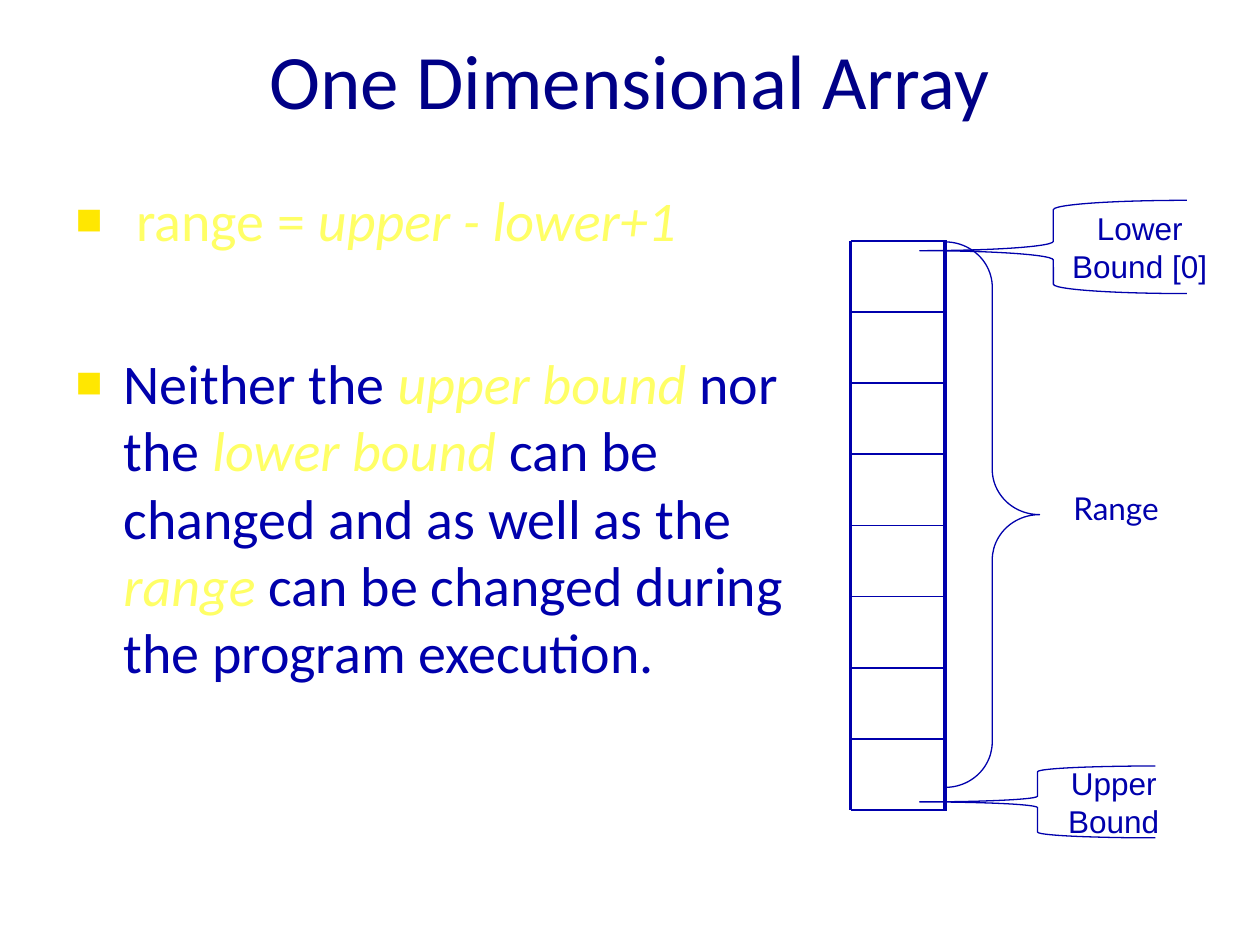
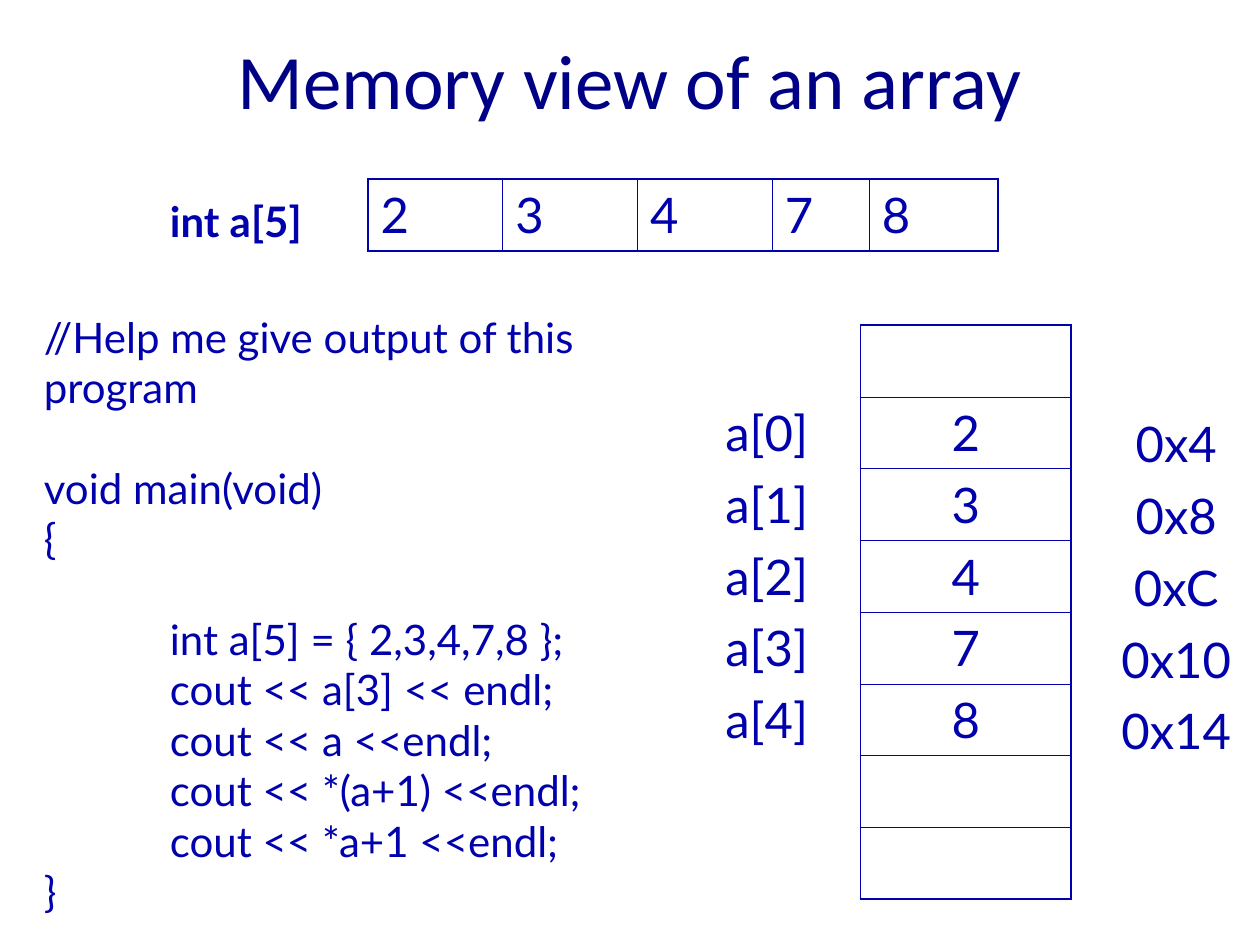
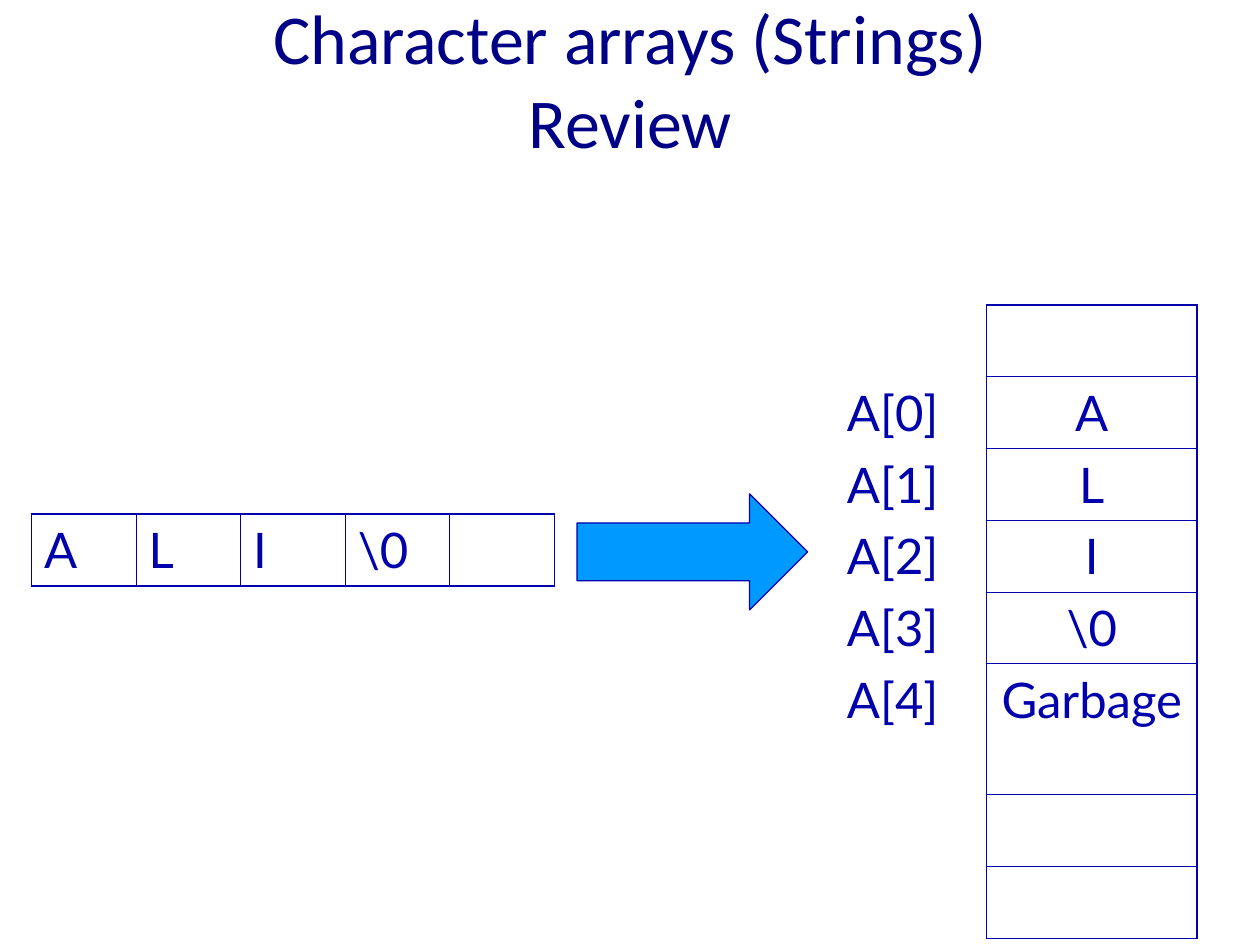
from lxml import etree
from pptx import Presentation
from pptx.dml.color import RGBColor
from pptx.enum.shapes import MSO_CONNECTOR, MSO_SHAPE
from pptx.enum.text import MSO_ANCHOR, MSO_AUTO_SIZE, PP_ALIGN
from pptx.oxml.ns import qn
from pptx.util import Inches, Pt

LEFT, CENTER = PP_ALIGN.LEFT, PP_ALIGN.CENTER
MIDDLE = MSO_ANCHOR.MIDDLE
NO_FIT = MSO_AUTO_SIZE.NONE
STRAIGHT = MSO_CONNECTOR.STRAIGHT
LEFT_BRACE, RIGHT_BRACE = MSO_SHAPE.LEFT_BRACE, MSO_SHAPE.RIGHT_BRACE
RIGHT_ARROW = MSO_SHAPE.RIGHT_ARROW

COLORS = {
    "title": "000086",
    "ink": "0000AC",
    "term": "FFFF66",
    "bullet": "FFE701",
    "arrow": "0099FF",
}
HEAD_FONT, TEXT_FONT, LABEL_FONT = "Calibri", "Lato", "Arial"
TITLE_ONLY, TITLE_AND_BODY = 5, 1
TITLE_BOX = (0, 0, 10, 1.25)
NO_GRID_STYLE = "{2D5ABB26-0587-4C30-8999-92F81FD0307C}"
OUTER, INNER = 1.08, 0.45
CELL_H = 0.57


def rgb(name):
    return RGBColor.from_string(COLORS[name])


def inches(box):
    return [Inches(v) for v in box]


def place(shape, box):
    shape.left, shape.top, shape.width, shape.height = inches(box)


def style_run(r, size, font, color="ink", bold=False, italic=False):
    r.font.size, r.font.name = Pt(size), font
    r.font.bold, r.font.italic = bold, italic
    r.font.color.rgb = rgb(color)


def style_text(tf, size, font, align=LEFT, color="ink", bold=False):
    for p in tf.paragraphs:
        p.alignment = align
        for r in p.runs:
            style_run(r, size, font, color, bold)


def set_indent(p, left, first=0):
    pPr = p._p.get_or_add_pPr()
    pPr.set("marL", str(Inches(left)))
    pPr.set("indent", str(Inches(first)))
    return pPr


def add_square_bullet(p):
    pPr = set_indent(p, 0.38, -0.38)
    color = etree.SubElement(pPr, qn("a:buClr"))
    etree.SubElement(color, qn("a:srgbClr"), val=COLORS["bullet"])
    etree.SubElement(pPr, qn("a:buSzPct"), val="80000")
    etree.SubElement(pPr, qn("a:buFont"), typeface=LABEL_FONT)
    etree.SubElement(pPr, qn("a:buChar"), char="■")


def new_slide(prs, layout, title, size=44):
    s = prs.slides.add_slide(prs.slide_layouts[layout])
    place(s.shapes.title, TITLE_BOX)
    tf = s.shapes.title.text_frame
    tf.text = title
    tf.auto_size, tf.vertical_anchor = NO_FIT, MIDDLE
    style_text(tf, size, HEAD_FONT, CENTER, "title")
    return s


def add_text(s, box, text, size, bold=False):
    tf = s.shapes.add_textbox(*inches(box)).text_frame
    tf.word_wrap = True
    tf.text = text
    style_text(tf, size, TEXT_FONT, bold=bold)
    return tf


def add_line(s, x1, y1, x2, y2, width):
    line = s.shapes.add_connector(STRAIGHT, *inches((x1, y1, x2, y2)))
    line.line.color.rgb, line.line.width = rgb("ink"), Pt(width)
    etree.SubElement(line._element.spPr, qn("a:effectLst"))


def add_outline(s, kind, box, adjustments, fill=None):
    sp = s.shapes.add_shape(kind, *inches(box))
    sp.shadow.inherit = False
    for i, value in enumerate(adjustments):
        sp.adjustments[i] = value
    if fill:
        sp.fill.solid()
        sp.fill.fore_color.rgb = rgb(fill)
    else:
        sp.fill.background()
    sp.line.color.rgb, sp.line.width = rgb("ink"), Pt(0.75)
    return sp


def add_brace_label(s, box, adjustments, text):
    tf = add_outline(s, LEFT_BRACE, box, adjustments).text_frame
    tf.margin_left = tf.margin_right = Inches(0.1)
    tf.word_wrap, tf.vertical_anchor = False, MIDDLE
    tf.text = text
    style_text(tf, 18, LABEL_FONT, CENTER)


def add_borders(cell, outer_sides):
    """Draw all four edges, the ones on the table's outside thicker."""
    tcPr = cell._tc.get_or_add_tcPr()
    for side, is_outer in zip("LRTB", outer_sides):
        width = Pt(OUTER if is_outer else INNER)
        ln = etree.SubElement(tcPr, qn("a:ln" + side), w=str(width))
        fill = etree.SubElement(ln, qn("a:solidFill"))
        etree.SubElement(fill, qn("a:srgbClr"), val=COLORS["ink"])


def add_cells(s, left, top, rows, widths, heights, align, bordered=True):
    frame = s.shapes.add_table(len(rows), len(widths), *inches((left, top, sum(widths), sum(heights))))
    table = frame.table
    table.first_row = table.horz_banding = False
    table._tbl.tblPr.find(qn("a:tableStyleId")).text = NO_GRID_STYLE
    for column, width in zip(table.columns, widths):
        column.width = Inches(width)
    for i, (row, height) in enumerate(zip(rows, heights)):
        table.rows[i].height = Inches(height)
        for j, text in enumerate(row):
            cell = table.cell(i, j)
            if bordered:
                add_borders(cell, (j == 0, j == len(widths) - 1, i == 0, i == len(rows) - 1))
            cell.fill.background()
            cell.text = text
            style_text(cell.text_frame, 28, TEXT_FONT, align)


def add_array_strip(s, left, top, values, widths):
    add_cells(s, left, top, [values], widths, [CELL_H], LEFT)


def add_memory_column(s, left, top, values, width=1.33, bordered=False, heights=None):
    """Stack values with one free cell above and two below."""
    rows = [[text] for text in ["", *values, "", ""]]
    add_cells(s, left, top, rows, [width], heights or [CELL_H] * len(rows), CENTER, bordered)


def add_rules(s, box):
    """Fill the body placeholder; each rule is a list of (text, is_term, italic)."""
    rules = [
        [(" ", False, False), ("range = ", True, False), ("upper - lower+1", True, True)],
        [("Neither the ", False, False), ("upper bound", True, True), (" nor the ", False, False),
         ("lower bound", True, True), (" can be changed and as well as the ", False, False),
         ("range", True, True), (" can be changed during the program execution.", False, False)],
    ]
    body = s.placeholders[1]
    place(body, box)
    tf = body.text_frame
    tf.auto_size = NO_FIT
    for i, (rule, gap) in enumerate(zip(rules, (8, 55))):
        p = tf.add_paragraph() if i else tf.paragraphs[0]
        p.space_before = Pt(gap)
        add_square_bullet(p)
        for text, is_term, italic in rule:
            r = p.add_run()
            r.text = text
            style_run(r, 32, HEAD_FONT, "term" if is_term else "ink", italic=italic)


def add_array_ladder(s, left, top, width, height, cells=8):
    step = height / cells
    for i in range(cells + 1):
        y = top + i * step
        add_line(s, left, y, left + width + 0.02, y, 1)
    for x in (left, left + width):
        add_line(s, x, top, x, top + height, 2.25)


def add_program(s, box):
    statements = [
        "int a[5] = { 2,3,4,7,8 };",
        "cout << a[3] << endl;",
        "cout << a <<endl;",
        "cout << *(a+1) <<endl;",
        "cout << *a+1 <<endl;",
    ]
    lines = ["//Help me give output of this program", "void main(void)", "{", *statements, "}"]
    tf = add_text(s, box, "\n".join(lines), 24)
    for p in tf.paragraphs:
        if p.text in statements:
            set_indent(p, 1)
        if p.text in (lines[1], statements[0]):
            p.space_before = Pt(28.8)


def build_bounds_slide(prs):
    s = new_slide(prs, TITLE_AND_BODY, "One Dimensional Array")
    add_rules(s, (0.5, 1.42, 5.92, 5.67))
    add_array_ladder(s, 6.75, 1.91, 0.75, 4.52)
    add_brace_label(s, (7.3, 1.59, 2.12, 0.74), (0.1, 0.54), "Lower\nBound [0]")
    add_brace_label(s, (7.3, 6.08, 1.87, 0.57), (0.08, 0.5), "Upper\nBound")
    add_outline(s, RIGHT_BRACE, (7.5, 1.92, 0.75, 4.33), (0.48, 0.5))
    add_text(s, (8.42, 3.83, 1, 0.4), "Range", 18)


def build_memory_slide(prs):
    s = new_slide(prs, TITLE_ONLY, "Memory view of an array")
    values = ["2", "3", "4", "7", "8"]
    add_array_strip(s, 2.92, 1.42, values, [1.07, 1.07, 1.07, 0.77, 1.02])
    add_memory_column(s, 6.83, 2.58, values, 1.67, bordered=True)
    add_memory_column(s, 5.42, 2.58, [f"a[{i}]" for i in range(5)])
    add_text(s, (1.25, 1.5, 2.06, 0.5), "int a[5]", 24, bold=True)
    add_program(s, (0.25, 2.42, 5.25, 4.9))
    add_memory_column(s, 8.67, 2.67, [f"0x{4 * i:X}" for i in range(1, 4)] and ["0x4", "0x8", "0xC", "0x10", "0x14"])


def build_string_slide(prs):
    s = new_slide(prs, TITLE_ONLY, "Character arrays (Strings)\vReview", 40)
    letters = ["A", "L", "I", "\\0"]
    add_array_strip(s, 0.25, 4.08, letters + [""], [0.83] * 5)
    heights = [CELL_H] * 5 + [1.04] + [CELL_H] * 2
    add_memory_column(s, 7.83, 2.42, letters + ["Garbage"], 1.67, True, heights)
    add_memory_column(s, 6.42, 2.42, [f"A[{i}]" for i in range(5)])
    add_outline(s, RIGHT_ARROW, (4.58, 3.92, 1.83, 0.92), (0.5, 0.5), "arrow")


def main():
    prs = Presentation()
    prs.slide_width, prs.slide_height = Inches(10), Inches(7.5)
    build_bounds_slide(prs)
    build_memory_slide(prs)
    build_string_slide(prs)
    prs.save("out.pptx")


if __name__ == "__main__":
    main()
